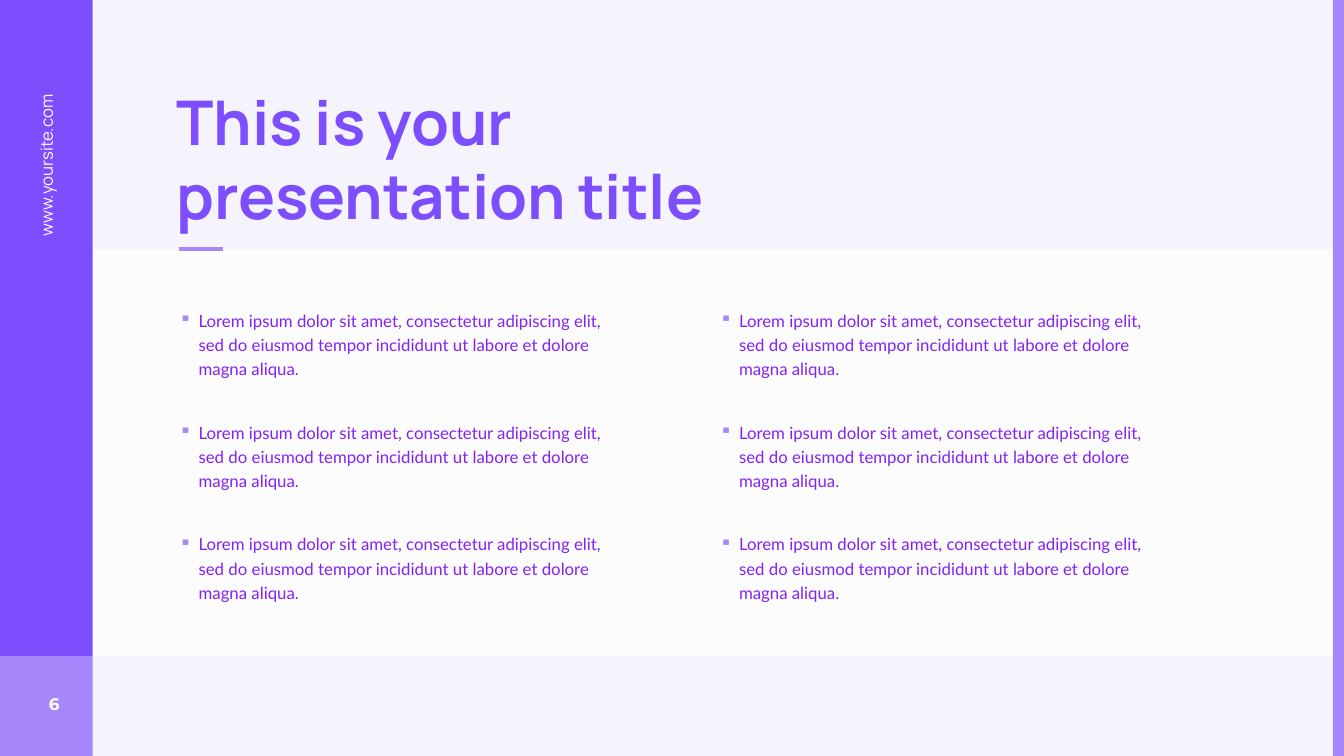
"""Build a purple title slide with two columns of bullets."""
from lxml import etree
from pptx import Presentation, util as u
from pptx.dml.color import RGBColor
from pptx.enum import shapes, text
from pptx.oxml import ns

PX = 9144
VIOLET = RGBColor(0x7C, 0x4E, 0xFD)
LILAC = RGBColor(0xA6, 0x88, 0xFC)
PURPLE = RGBColor(0x84, 0x22, 0xF4)
PAPER = RGBColor(0xFC, 0xFC, 0xFC)
LOREM = ("Lorem ipsum dolor sit amet, consectetur adipiscing elit, "
         "sed do eiusmod tempor incididunt ut labore et dolore magna aliqua.")

deck = Presentation()
deck.slide_width, deck.slide_height = 1333 * PX, 750 * PX
slide = deck.slides.add_slide(deck.slide_layouts[6])
slide.background.fill.solid()
slide.background.fill.fore_color.rgb = PAPER


def add_band(left, top, width, height, color, opacity=100):
    band = slide.shapes.add_shape(shapes.MSO_SHAPE.RECTANGLE,
                                  left * PX, top * PX, width * PX, height * PX)
    band.shadow.inherit = False
    band.line.fill.background()
    band.fill.solid()
    band.fill.fore_color.rgb = color
    if opacity < 100:
        srgb = band.fill._xPr.find(".//" + ns.qn("a:srgbClr"))
        etree.SubElement(srgb, ns.qn("a:alpha"), val=str(opacity * 1000))


def add_text(content, left, top, width, height, *, font, color, size=12, bold=False,
             align=text.PP_ALIGN.LEFT, anchor=text.MSO_ANCHOR.TOP, rotation=0,
             grow=True, inset=True, indent=0, bullet=None, spacing=None):
    box = slide.shapes.add_textbox(left * PX, top * PX, width * PX, height * PX)
    box.rotation = rotation
    frame = box.text_frame
    frame.word_wrap = True
    frame.vertical_anchor = anchor
    if grow:
        frame.auto_size = text.MSO_AUTO_SIZE.SHAPE_TO_FIT_TEXT
    if not inset:
        frame.margin_left = frame.margin_right = frame.margin_top = frame.margin_bottom = 0
    paragraph = frame.paragraphs[0]
    paragraph.alignment = align
    if bullet:
        props = paragraph._p.get_or_add_pPr()
        props.set("marL", str(indent * PX))
        props.set("indent", str(-indent * PX))
        bullet_color = etree.SubElement(props, ns.qn("a:buClr"))
        etree.SubElement(bullet_color, ns.qn("a:srgbClr"), val=str(LILAC))
        etree.SubElement(props, ns.qn("a:buChar"), char=bullet)
    if spacing:
        paragraph.line_spacing = spacing
    run = paragraph.add_run()
    run.text = content
    run.font.name = font
    run.font.size = u.Pt(size)
    run.font.bold = bold
    run.font.color.rgb = color


add_band(0, 651, 1333, 99, VIOLET, opacity=5)
add_band(0, 0, 92, 651, VIOLET)
add_band(0, 651, 92, 99, LILAC)
add_text("6", 24, 678, 45, 40, font="Montserrat", color=PAPER, bold=True,
         align=text.PP_ALIGN.RIGHT, anchor=text.MSO_ANCHOR.MIDDLE, grow=False)
add_text("www.yoursite.com", -92, 207, 276, 30, font="Manrope", color=PAPER,
         align=text.PP_ALIGN.RIGHT, rotation=270)

add_band(93, 0, 1240, 247, VIOLET, opacity=5)
add_band(1322, 0, 11, 750, LILAC)
add_text("This is your presentation title", 165, 78, 727, 158,
         font="Manrope", color=VIOLET, size=44, bold=True)

accent = slide.shapes.add_connector(shapes.MSO_CONNECTOR.STRAIGHT,
                                    178 * PX, 247 * PX, 221 * PX, 247 * PX)
accent.line.color.rgb = LILAC
accent.line.width = u.Pt(3)
etree.SubElement(accent._element.spPr, ns.qn("a:effectLst"))

for row in range(3):
    for column_left, column_width in ((178, 441), (714, 437)):
        add_text(LOREM, column_left, 304 + 111 * row, column_width, 71, font="Lato",
                 color=PURPLE, inset=False, indent=19, bullet="▪", spacing=1.2)

deck.save("out.pptx")
